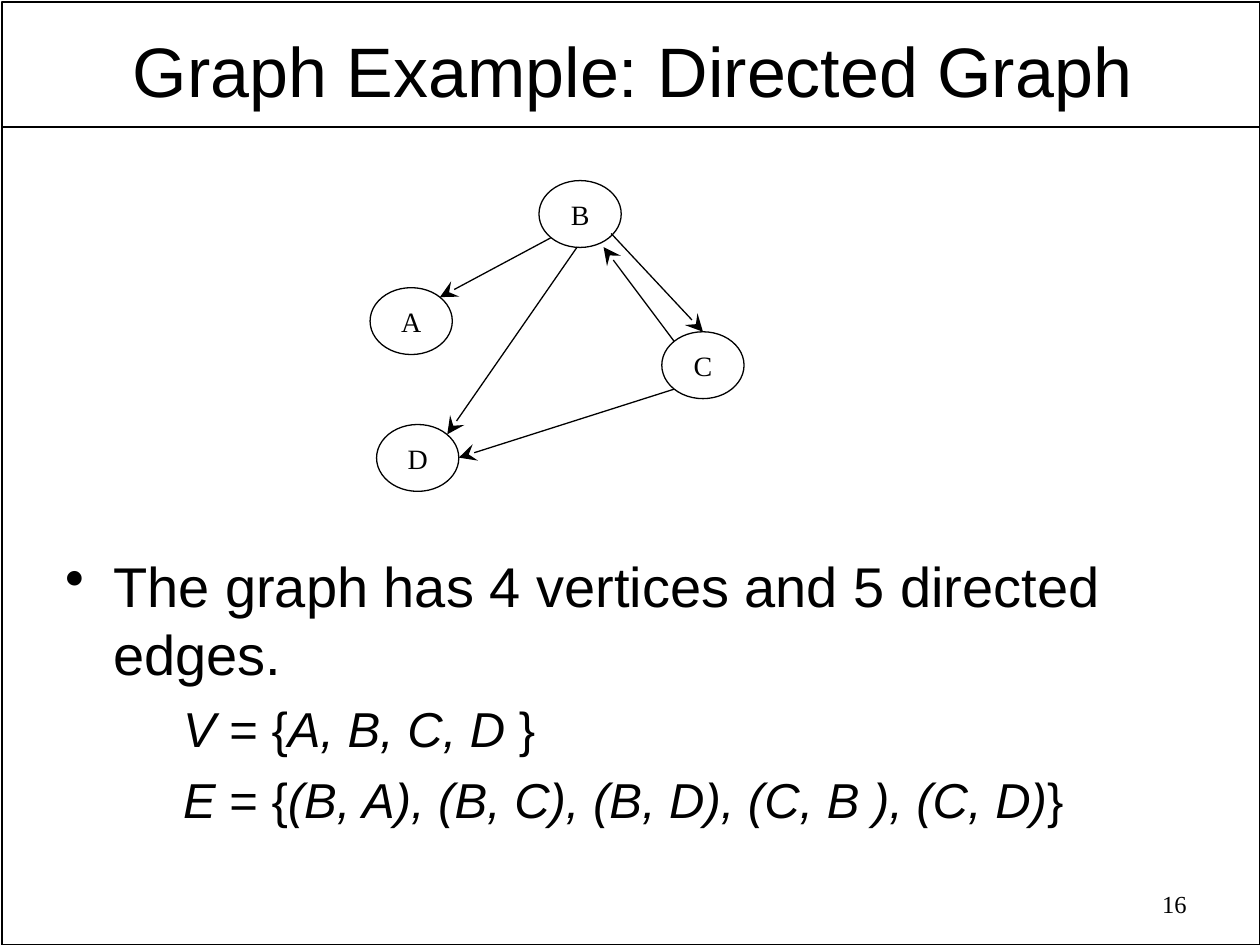
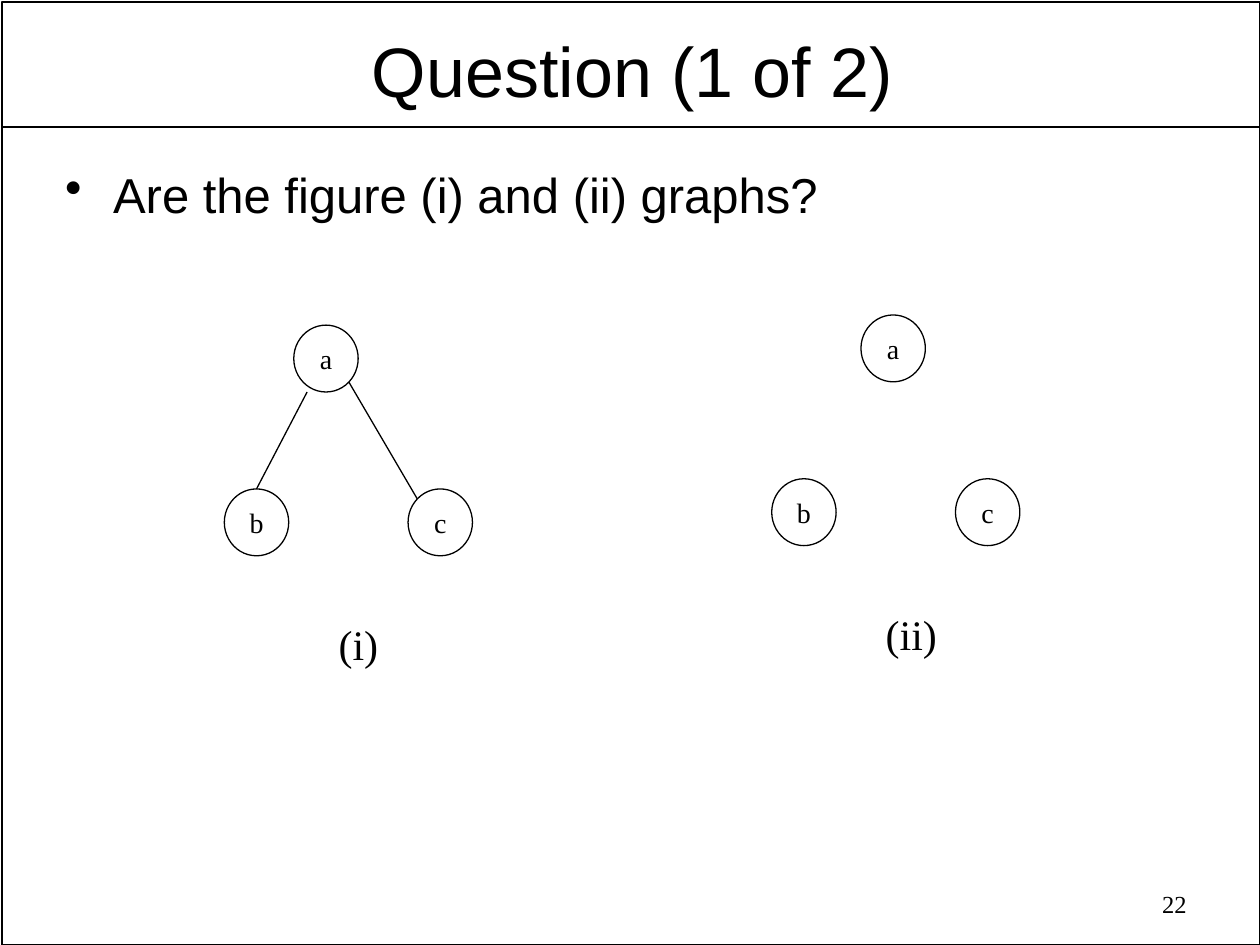
import pptx
import pptx.dml.color
import pptx.enum.shapes
import pptx.enum.text
import pptx.oxml
import pptx.oxml.ns
import pptx.util

Pt = pptx.util.Pt
ALIGN = pptx.enum.text.PP_ALIGN
ANCHOR = pptx.enum.text.MSO_ANCHOR
SHAPES = pptx.enum.shapes.MSO_SHAPE
COLORS = {"ink": "000000"}
SANS, SERIF = "Arial", "Times New Roman"
TITLE_ONLY = 5
DIRECTED_NODE = (47, 38.2)
QUESTION_NODE = (36.8, 38.2)


def ink():
    return pptx.dml.color.RGBColor.from_string(COLORS["ink"])


def write(paragraph, text, font=SANS, size=28, align=ALIGN.LEFT,
          indent=0, hanging=0, bullet=None, before=0):
    properties = paragraph._p.get_or_add_pPr()
    properties.set("marL", str(Pt(indent)))
    properties.set("indent", str(-Pt(hanging)))
    if bullet:
        mark = pptx.oxml.parse_xml(
            f'<a:buChar {pptx.oxml.ns.nsdecls("a")} char="{bullet}"/>')
        properties.append(mark)
    paragraph.alignment = align
    paragraph.space_before = Pt(before)
    runs = [(text, False)] if isinstance(text, str) else text
    for words, italic in runs:
        run = paragraph.add_run()
        run.text = words
        run.font.name = font
        run.font.size = Pt(size)
        run.font.italic = italic
        run.font.color.rgb = ink()


def text_box(slide, left, top, width, height):
    frame = slide.shapes.add_textbox(Pt(left), Pt(top), Pt(width), Pt(height)).text_frame
    frame.word_wrap = True
    return frame


def outline(slide, kind, left, top, width, height, weight):
    shape = slide.shapes.add_shape(kind, Pt(left), Pt(top), Pt(width), Pt(height))
    shape.shadow.inherit = False
    shape.fill.background()
    shape.line.color.rgb = ink()
    shape.line.width = Pt(weight)
    return shape


def add_edge(slide, start, end, weight=0.75, arrow=False, target=None):
    edge = slide.shapes.add_connector(
        pptx.enum.shapes.MSO_CONNECTOR.STRAIGHT, *map(Pt, start + end))
    if target is not None:
        edge.end_connect(target, 0)
    edge.line.color.rgb = ink()
    edge.line.width = Pt(weight)
    namespace = pptx.oxml.ns.nsdecls("a")
    if arrow:
        edge.line._get_or_add_ln().append(pptx.oxml.parse_xml(
            f'<a:tailEnd {namespace} type="stealth" w="lg" len="lg"/>'))
    edge._element.spPr.append(pptx.oxml.parse_xml(f"<a:effectLst {namespace}/>"))


def add_node(slide, label, left, top, size):
    node = outline(slide, SHAPES.OVAL, left, top, *size, weight=0.75)
    frame = node.text_frame
    frame.margin_left = frame.margin_right = frame.margin_top = frame.margin_bottom = 0
    frame.vertical_anchor = ANCHOR.MIDDLE
    frame.word_wrap = False
    write(frame.paragraphs[0], label, font=SERIF, size=16, align=ALIGN.CENTER)
    return node


def add_titled_slide(deck, heading, number):
    slide = deck.slides.add_slide(deck.slide_layouts[TITLE_ONLY])
    outline(slide, SHAPES.RECTANGLE, 1, 1, 719, 539, weight=1)
    add_edge(slide, (1, 72.7), (719.3, 72.7), weight=1)
    title = slide.shapes.title
    title.left, title.top, title.width, title.height = map(Pt, (38.5, 13.7, 645.8, 51.8))
    frame = title.text_frame
    frame.auto_size = pptx.enum.text.MSO_AUTO_SIZE.NONE
    frame.vertical_anchor = ANCHOR.MIDDLE
    frame.margin_left = frame.margin_right = Pt(5)
    frame.margin_top = frame.margin_bottom = Pt(2.2)
    write(frame.paragraphs[0], heading, size=40, align=ALIGN.CENTER)
    footer = text_box(slide, 516.7, 504.5, 168.5, 26)
    write(footer.paragraphs[0], number, font=SERIF, size=14, align=ALIGN.RIGHT)
    return slide


def add_bullet(slide, text, top, height, size):
    frame = text_box(slide, 30.2, top, 660.2, height)
    write(frame.paragraphs[0], text, size=size, indent=27.4, hanging=27.4, bullet="•")
    return frame


def add_triangle(slide, apex_left, base_left, top, caption, caption_left):
    base_top = top + 93.6
    add_node(slide, "a", apex_left, top, QUESTION_NODE)
    b = add_node(slide, "b", base_left, base_top, QUESTION_NODE)
    add_node(slide, "c", base_left + 105, base_top, QUESTION_NODE)
    label = text_box(slide, caption_left, top + 164.2, 60, 36)
    write(label.paragraphs[0], caption, font=SERIF, size=24)
    return b


def build_directed_graph(deck):
    slide = add_titled_slide(deck, "Graph Example: Directed Graph", "16")
    body = add_bullet(slide, "The graph has 4 vertices and 5 directed edges.", 311.8, 174, 32)
    sets = [("V ", "A, B, C, D "),
            ("E ", "(B, A), (B, C), (B, D), (C, B ), (C, D)")]
    for name, members in sets:
        write(body.add_paragraph(),
              [(name, True), ("= {", False), (members, True), ("}", False)],
              indent=67.4, before=7)

    places = {"A": (211.5, 164.4), "D": (215.2, 242.6), "B": (308, 103.2), "C": (378.2, 189.6)}
    nodes = {label: add_node(slide, label, *place, DIRECTED_NODE)
             for label, place in places.items()}
    edges = [((314.6, 136), (251.4, 169.8)),
             ((385.2, 195), (344.9, 141.2)),
             ((329.8, 141.2), (255.6, 248.2)),
             ((385.2, 222.4), (262.2, 261.5))]
    for start, end in edges:
        add_edge(slide, start, end, arrow=True)
    add_edge(slide, (349.2, 133.4), (401.7, 189.6), arrow=True, target=nodes["C"])


def build_question(deck):
    slide = add_titled_slide(deck, "Question (1 of 2)", "22")
    add_bullet(slide, "Are the figure (i) and (ii) graphs?", 90.7, 53, 28)
    b = add_triangle(slide, 167.9, 128.2, 185.8, "(i)", 186.4)
    add_edge(slide, (175.5, 224), (146.6, 279.4), target=b)
    add_edge(slide, (199.4, 218.4), (238.4, 285))
    add_triangle(slide, 492, 441, 180, "(ii)", 499)


def main():
    deck = pptx.Presentation()
    deck.slide_width, deck.slide_height = Pt(720), Pt(540)
    build_directed_graph(deck)
    build_question(deck)
    deck.save("out.pptx")


if __name__ == "__main__":
    main()
